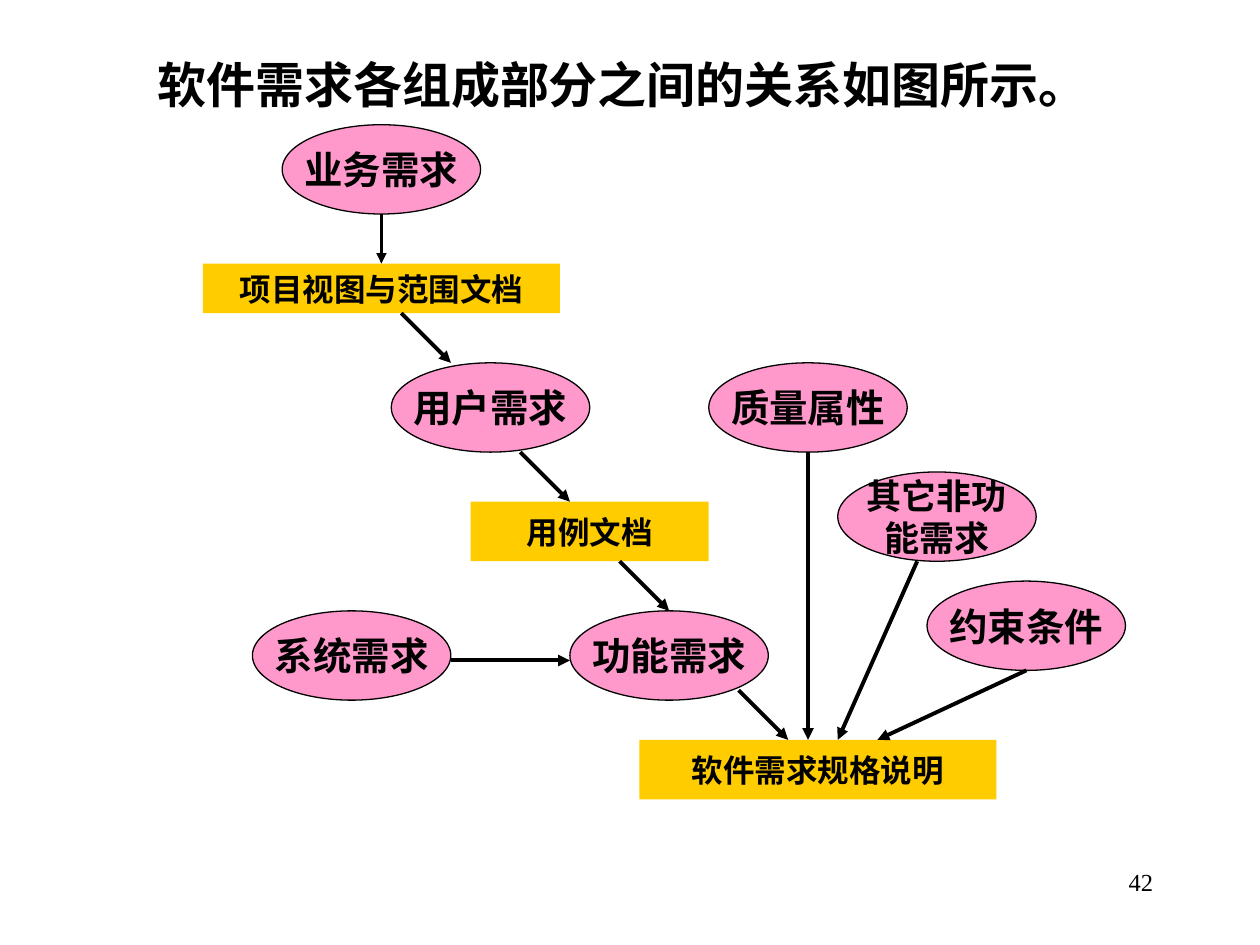
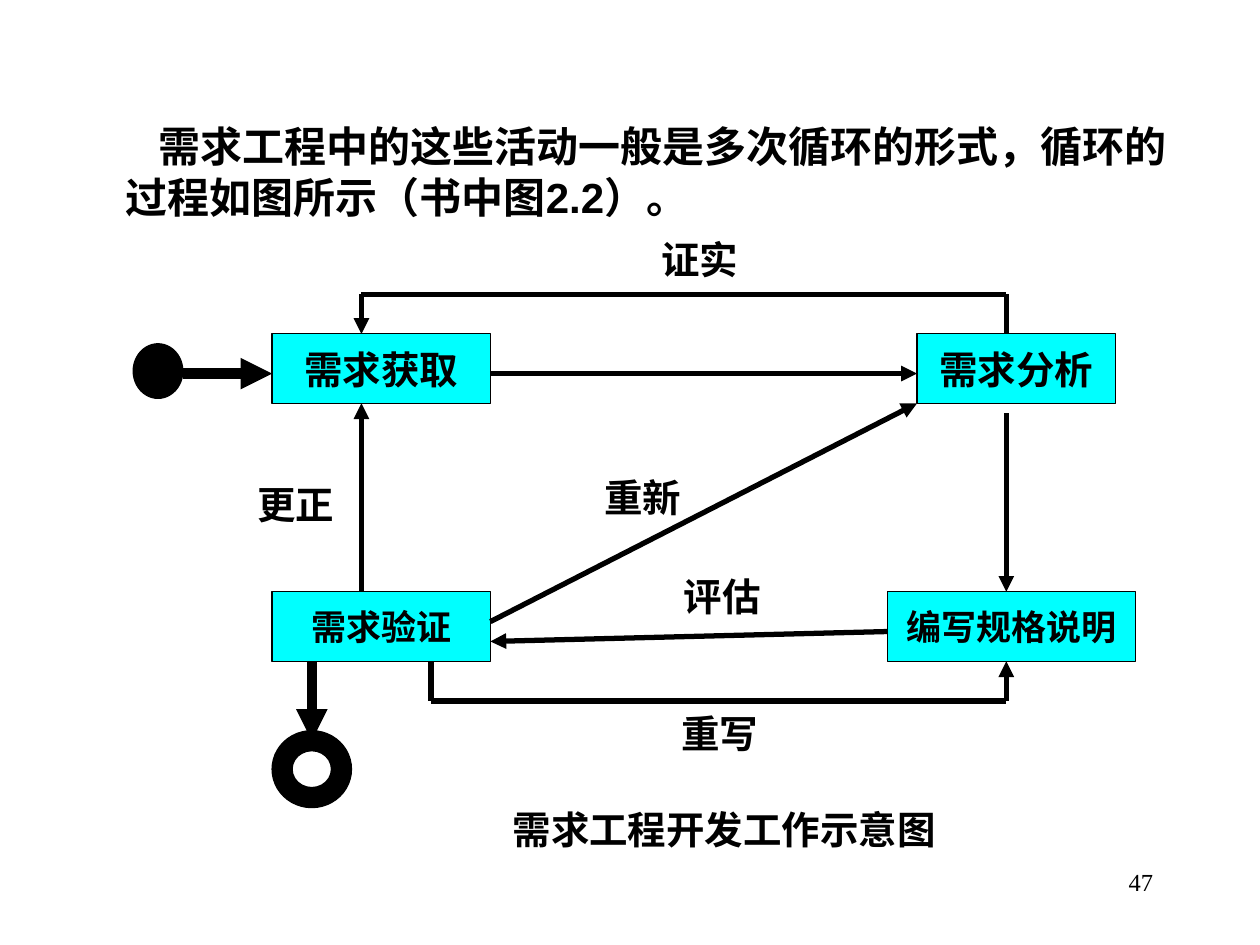
from dataclasses import dataclass
from itertools import pairwise

from lxml.etree import SubElement
from pptx import Presentation
from pptx.dml.color import RGBColor
from pptx.enum.shapes import MSO_CONNECTOR, MSO_SHAPE
from pptx.enum.text import MSO_ANCHOR, PP_ALIGN
from pptx.oxml.ns import qn
from pptx.util import Inches, Mm, Pt

# Shared look
BLACK, PINK, GOLD, CYAN = "000000", "FF99CC", "FFCC00", "00FFFF"
SERIF, SANS = "Times New Roman", "Arial"
CELL = Mm(2)  # side of one square of the drawing grid


@dataclass(frozen=True)
class Grid:
    """Square grid that starts at a point of the slide."""
    left: int
    top: int

    def point(self, column: float, row: float) -> tuple[int, int]:
        return int(self.left + column * CELL), int(self.top + row * CELL)


@dataclass(frozen=True)
class Node:
    """Filled shape; place and size in grid cells."""
    text: str
    column: float
    row: float
    columns: float
    rows: float
    fill: str
    kind: MSO_SHAPE = MSO_SHAPE.RECTANGLE
    size: float = 22
    outlined: bool = True


@dataclass(frozen=True)
class Route:
    """Line through grid points, with an arrowhead at its end."""
    points: tuple[tuple[float, float], ...]
    weight: float


@dataclass(frozen=True)
class Label:
    """One line of free text; the width leaves room for all characters."""
    text: str
    column: float
    row: float
    columns: float = 12


def color(value: str) -> RGBColor:
    return RGBColor.from_string(value)


def write(shape, text: str, size: float, font: str = SERIF, bold: bool = True,
          align: PP_ALIGN = PP_ALIGN.LEFT, anchor: MSO_ANCHOR = MSO_ANCHOR.TOP,
          wrap: bool = False) -> None:
    frame = shape.text_frame
    frame.text = text
    frame.word_wrap = wrap
    frame.vertical_anchor = anchor
    for paragraph in frame.paragraphs:
        paragraph.alignment = align
        paragraph.font.name = font
        paragraph.font.size = Pt(size)
        paragraph.font.bold = bold
        paragraph.font.color.rgb = color(BLACK)


def add_text(slide, left: float, top: float, width: float, height: float):
    return slide.shapes.add_textbox(Inches(left), Inches(top), Inches(width), Inches(height))


def add_node(slide, grid: Grid, node: Node):
    shape = slide.shapes.add_shape(node.kind, *grid.point(node.column, node.row),
                                   int(node.columns * CELL), int(node.rows * CELL))
    shape.shadow.inherit = False
    shape.fill.solid()
    shape.fill.fore_color.rgb = color(node.fill)
    if node.outlined:
        shape.line.color.rgb = color(BLACK)
        shape.line.width = Pt(0.75)
    else:
        shape.line.fill.background()
    if node.text:
        write(shape, node.text, node.size, align=PP_ALIGN.CENTER, anchor=MSO_ANCHOR.MIDDLE)
    return shape


def add_route(slide, grid: Grid, route: Route) -> None:
    for start, end in pairwise(route.points):
        connector = slide.shapes.add_connector(
            MSO_CONNECTOR.STRAIGHT, *grid.point(*start), *grid.point(*end))
        connector.line.color.rgb = color(BLACK)
        connector.line.width = Pt(route.weight)
        properties = connector._element.spPr
        if end == route.points[-1]:
            SubElement(properties.find(qn("a:ln")), qn("a:tailEnd"), type="triangle")
        SubElement(properties, qn("a:effectLst"))


def add_label(slide, grid: Grid, label: Label) -> None:
    shape = slide.shapes.add_textbox(*grid.point(label.column, label.row),
                                     int(label.columns * CELL), 6 * CELL)
    write(shape, label.text, 22, wrap=True)


def new_slide(presentation, number: int):
    slide = presentation.slides.add_slide(presentation.slide_layouts[6])
    write(add_text(slide, 7.17, 6.83, 2.08, 0.5), str(number), 14,
          bold=False, align=PP_ALIGN.RIGHT, wrap=True)
    return slide


def requirement(text: str, column: float, row: float, size: float = 22) -> Node:
    return Node(text, column, row, 20, 9, PINK, MSO_SHAPE.OVAL, size)


def document(text: str, column: float, row: float, columns: float, rows: float = 6) -> Node:
    return Node(text, column, row, columns, rows, GOLD, size=18, outlined=False)


def activity(text: str, column: float, row: float, columns: float, size: float) -> Node:
    return Node(text, column, row, columns, 7, CYAN, size=size)


def build_requirements(presentation) -> None:
    """How the parts of the software requirements depend on each other."""
    slide = new_slide(presentation, 42)
    grid = Grid(Inches(1.61), Inches(0.99))
    write(add_text(slide, 0.69, 0.43, 8.5, 0.47), "软件需求各组成部分之间的关系如图所示。", 28,
          SANS, align=PP_ALIGN.CENTER, anchor=MSO_ANCHOR.MIDDLE, wrap=True)
    nodes = (
        requirement("业务需求", 8, 0),
        document("项目视图与范围文档", 0, 14, 36, 5),
        requirement("用户需求", 19, 24),
        requirement("质量属性", 51, 24),
        requirement("其它非功\n能需求", 64, 35, 20),
        requirement("约束条件", 73, 46),
        requirement("功能需求", 37, 49),
        requirement("系统需求", 5, 49),
        document("用例文档", 27, 38, 24),
        document("软件需求规格说明", 44, 62, 36),
    )
    for node in nodes:
        add_node(slide, grid, node)

    add_route(slide, grid, Route(((18, 9), (18, 14)), 2))
    # Diagonal steps down the main chain all span five cells each way
    for column, row in ((20, 19), (32, 33), (42, 44), (54, 57)):
        add_route(slide, grid, Route(((column, row), (column + 5, row + 5)), 2.25))
    # Side inputs
    for points in (((25, 54), (37, 54)), ((61, 33), (61, 62)),
                   ((72, 44), (64, 62)), ((83, 55), (68, 62))):
        add_route(slide, grid, Route(points, 2.25))


def build_cycle(presentation) -> None:
    """The repeated cycle of requirements engineering."""
    slide = new_slide(presentation, 47)
    grid = Grid(Inches(2.16), Inches(2.65))
    body = add_text(slide, 0.52, 0.91, 8.98, 1.1)
    write(body, "需求工程中的这些活动一般是多次循环的形式，循环的过程如图所示（书中图2.2）。",
          24, SANS, wrap=True)
    paragraph = body.text_frame.paragraphs[0]
    paragraph.space_before = Pt(5)
    properties = paragraph._p.get_or_add_pPr()
    properties.set("marL", str(Inches(0.38)))
    properties.set("indent", str(Inches(0.26)))

    nodes = (
        activity("需求获取", 0, 0, 22, 22),
        activity("需求分析", 65, 0, 20, 22),
        activity("编写规格说明", 62, 26, 25, 20),
        activity("需求验证", 0, 26, 22, 20),
        Node("", -14, 1, 5, 5.5, BLACK, MSO_SHAPE.OVAL),  # start
    )
    for node in nodes:
        add_node(slide, grid, node)
    end_ring = add_node(slide, grid, Node("", 0, 40, 8, 7.75, BLACK, MSO_SHAPE.DONUT))
    end_ring.adjustments[0] = 0.26

    routes = (
        Route(((22, 4), (65, 4)), 3),
        Route(((22, 29), (65, 7)), 3),
        Route(((62, 30), (22, 31)), 3),
        Route(((74, 8), (74, 26)), 3),
        Route(((9, 26), (9, 7)), 3),
        Route(((74, 0), (74, -4), (9, -4), (9, 0)), 3),
        Route(((16, 33), (16, 37), (74, 37), (74, 33)), 3),
        Route(((-9, 4), (0, 4)), 6),
        Route(((4, 33), (4, 41)), 6),
    )
    for route in routes:
        add_route(slide, grid, route)

    labels = (
        Label("证实", 38, -10.5),
        Label("重新", 32.25, 13.5),
        Label("更正", -2.75, 14.25),
        Label("评估", 40.25, 23.5),
        Label("重写", 40, 37.25),
        Label("需求工程开发工作示意图", 23, 47, 48),
    )
    for label in labels:
        add_label(slide, grid, label)


presentation = Presentation()
presentation.slide_width, presentation.slide_height = Inches(10), Inches(7.5)
build_requirements(presentation)
build_cycle(presentation)
presentation.save("out.pptx")
